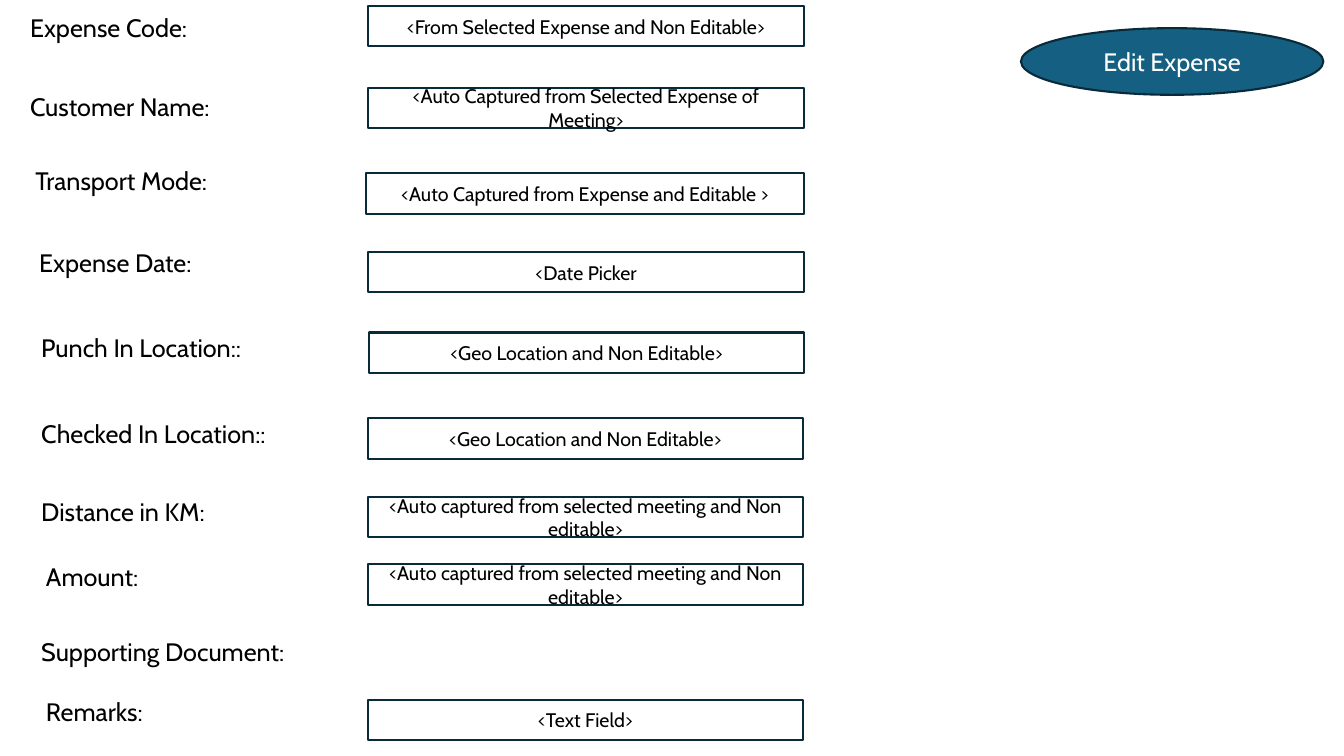
from pptx import Presentation
from pptx.dml.color import RGBColor
from pptx.enum.shapes import MSO_SHAPE
from pptx.enum.text import MSO_ANCHOR, MSO_AUTO_SIZE, PP_ALIGN
from pptx.util import Cm, Pt

RECTANGLE, OVAL = MSO_SHAPE.RECTANGLE, MSO_SHAPE.OVAL
CENTER, MIDDLE = PP_ALIGN.CENTER, MSO_ANCHOR.MIDDLE
GROW = MSO_AUTO_SIZE.SHAPE_TO_FIT_TEXT
BLANK_LAYOUT = 6

ROW_HEIGHT = 1.02
GEO_LOCATION = "<Geo Location and Non Editable>"
FROM_MEETING = "<Auto captured from selected meeting and Non editable>"

# Label text, then left, top and width in cm
LABELS = [
    ("Expense Code:", 0.51, 0.18, 6.3),
    ("Customer Name:", 0.51, 2.18, 6.3),
    ("Transport Mode:", 0.64, 4.04, 6.3),
    ("Expense Date:", 0.74, 6.12, 6.3),
    ("Punch In Location::", 0.79, 8.26, 6.3),
    ("Checked In Location::", 0.79, 10.41, 6.91),
    ("Distance in KM:", 0.79, 12.37, 6.3),
    ("Amount:", 0.91, 14.02, 6.3),
    ("Supporting Document:", 0.79, 15.9, 7.26),
    ("Remarks:", 0.91, 17.42, 7.26),
]

# Field text, then left, top and width in cm
FIELDS = [
    ("<From Selected Expense and Non Editable>", 9.27, 0.15, 11),
    ("<Auto Captured from Selected Expense of Meeting>", 9.27, 2.21, 11),
    ("<Auto Captured from Expense and Editable >", 9.22, 4.37, 11.05),
    ("<Date Picker", 9.27, 6.35, 11),
    (GEO_LOCATION, 9.3, 8.38, 10.97),
    (GEO_LOCATION, 9.27, 10.54, 10.97),
    (FROM_MEETING, 9.27, 12.52, 10.97),
    (FROM_MEETING, 9.27, 14.22, 10.97),
    ("<Text Field>", 9.27, 17.63, 10.97),
]


def color(value):
    return RGBColor.from_string(value)


class FormSlide:
    font_name = "Cabin"
    text_color = "000000"
    outline_color = "092A39"
    button_fill = "156082"
    button_text = "FFFFFF"

    def __init__(self, presentation):
        layout = presentation.slide_layouts[BLANK_LAYOUT]
        self.slide = presentation.slides.add_slide(layout)

    def set_text(self, shape, text, size, text_color):
        shape.text_frame.word_wrap = True
        paragraph = shape.text_frame.paragraphs[0]
        paragraph.text = text
        font = paragraph.runs[0].font
        font.name = self.font_name
        font.size = Pt(size)
        font.color.rgb = color(text_color)
        return paragraph

    def label(self, text, left, top, width):
        box = self.slide.shapes.add_textbox(
            Cm(left), Cm(top), Cm(width), Cm(ROW_HEIGHT))
        self.set_text(box, text, 18, self.text_color)
        box.text_frame.auto_size = GROW

    def outlined(self, kind, text, left, top, width, height, size, text_color):
        shape = self.slide.shapes.add_shape(
            kind, Cm(left), Cm(top), Cm(width), Cm(height))
        shape.shadow.inherit = False
        shape.fill.background()
        shape.line.color.rgb = color(self.outline_color)
        shape.line.width = Pt(1.5)
        self.set_text(shape, text, size, text_color).alignment = CENTER
        shape.text_frame.vertical_anchor = MIDDLE
        return shape

    def field(self, text, left, top, width):
        self.outlined(RECTANGLE, text, left, top, width, ROW_HEIGHT,
                      14, self.text_color)

    def button(self, text, left, top, width, height):
        shape = self.outlined(OVAL, text, left, top, width, height,
                              18, self.button_text)
        shape.fill.solid()
        shape.fill.fore_color.rgb = color(self.button_fill)


def main():
    presentation = Presentation()
    presentation.slide_width = Cm(33.87)
    presentation.slide_height = Cm(19.05)
    form = FormSlide(presentation)

    # Action button
    form.button("Edit Expense", 25.73, 0.71, 7.62, 1.68)

    # Form labels
    for label in LABELS:
        form.label(*label)

    # Form fields
    for field in FIELDS:
        form.field(*field)

    presentation.save("out.pptx")


if __name__ == "__main__":
    main()
